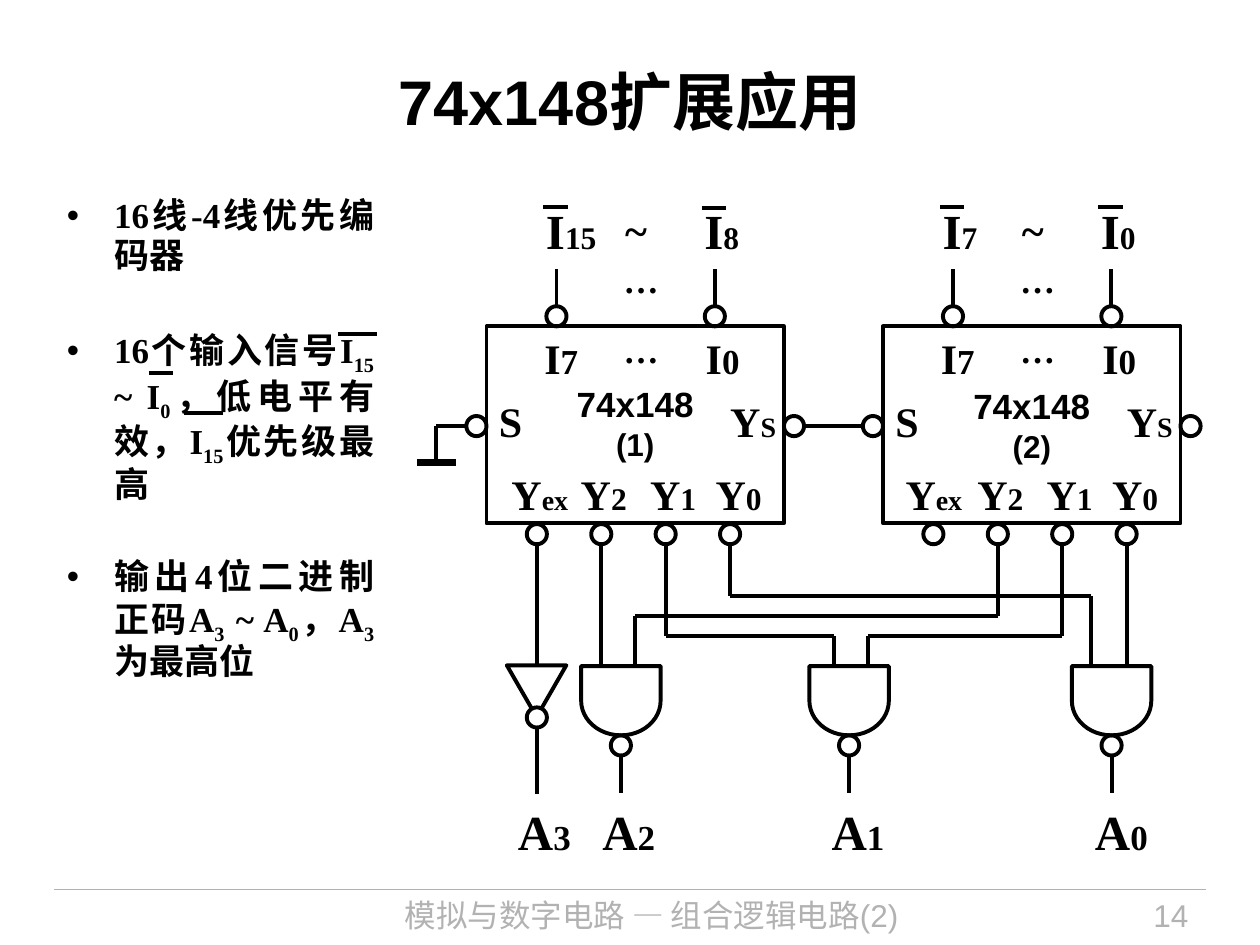
from typing import NamedTuple

from lxml import etree
from pptx import Presentation
from pptx.dml.color import RGBColor
from pptx.enum import shapes, text
from pptx.oxml import ns
from pptx.util import Pt

COLORS = {"ink": "000000", "paper": "FFFFFF", "footer": "B2B2B2"}
SERIF = "Times New Roman"
SANS = "Arial"
LABEL_INSETS = (7.2, 3.6, 0, 3.6)
NO_INSETS = (0, 0, 0, 0)
BUBBLE = 11.5
CHIP_TOP, CHIP_WIDTH, CHIP_HEIGHT = 186.5, 170, 112.5
CHIP_BOTTOM = CHIP_TOP + CHIP_HEIGHT
ENABLE_Y = 243.5
INPUT_OFFSETS = (40, 130.5)
OUTPUT_OFFSETS = [28.8 + 36.8 * i for i in range(4)]


class Run(NamedTuple):
    text: str
    size: float
    baseline: int = 0


class Label(NamedTuple):
    name: str
    index: str
    left: float
    top: float
    width: float
    height: float = 36
    size: float = 24
    index_size: float = 18


class Chip(NamedTuple):
    number: str
    left: float
    first_input: str
    last_input: str
    last_bar_top: float
    first_line_spacing: float
    yex_left: float


class Gate(NamedTuple):
    center: float
    output: str
    label_left: float


CHIPS = [
    Chip("(1)", 278, "15", "8", 118.8, 0.9, 7.2),
    Chip("(2)", 504.6, "7", "0", 118.1, 1, 5.8),
]
GATES = [Gate(354.8, "2", 344.2), Gate(485.2, "1", 475.2), Gate(635.2, "0", 625.7)]
CHIP_LABELS = [
    Label("S", "", 0, 222.5, 28),
    Label("Y", "S", 132.2, 222.5, 41, index_size=16),
    Label("Y", "2", 46.8, 264.2, 41),
    Label("Y", "1", 86.4, 264.2, 41),
    Label("Y", "0", 123.8, 264.2, 41),
    Label("I", "7", 26, 186.5, 39, index_size=20),
    Label("I", "0", 118.2, 186.5, 39, index_size=20),
    Label("…", "", 71.2, 184.3, 39.6, 31, 20),
    Label("…", "", 71.2, 144, 39.6, 31, 20),
]

presentation = Presentation()
presentation.slide_width, presentation.slide_height = Pt(720), Pt(540)
slide = presentation.slides.add_slide(presentation.slide_layouts[1])


def write_text(shape, paragraphs: list[list[Run]], *, font: str = SERIF, color: str = "ink",
               bold: bool = True, align=text.PP_ALIGN.LEFT, anchor=text.MSO_ANCHOR.TOP,
               insets=(7.2, 3.6, 7.2, 3.6), spacing=None, after: float = 0,
               indent: float = 0) -> None:
    frame = shape.text_frame
    frame.word_wrap = True
    frame.auto_size = text.MSO_AUTO_SIZE.NONE
    frame.vertical_anchor = anchor
    (frame.margin_left, frame.margin_top,
     frame.margin_right, frame.margin_bottom) = map(Pt, insets)
    for i, runs in enumerate(paragraphs):
        paragraph = frame.add_paragraph() if i else frame.paragraphs[0]
        paragraph.alignment = align
        paragraph.space_before, paragraph.space_after = Pt(0), Pt(after)
        if spacing:
            paragraph.line_spacing = spacing[i]
        if indent:
            properties = paragraph._p.get_or_add_pPr()
            properties.set("marL", str(Pt(indent)))
            properties.set("indent", str(-Pt(indent)))
        for item in runs:
            run = paragraph.add_run()
            run.text = item.text
            run.font.name, run.font.size, run.font.bold = font, Pt(item.size), bold
            run.font.color.rgb = RGBColor.from_string(COLORS[color])
            if item.baseline:
                run._r.get_or_add_rPr().set("baseline", str(item.baseline))


def place(shape, left: float, top: float, width: float, height: float) -> None:
    shape.left, shape.top, shape.width, shape.height = map(Pt, (left, top, width, height))


def add_text(left: float, top: float, width: float, height: float,
             paragraphs: list[list[Run]], **style) -> None:
    box = slide.shapes.add_textbox(Pt(left), Pt(top), Pt(width), Pt(height))
    write_text(box, paragraphs, **style)


def add_label(label: Label, origin: float = 0, **style) -> None:
    runs = [Run(label.name, label.size)]
    if label.index:
        runs.append(Run(label.index, label.index_size))
    add_text(origin + label.left, label.top, label.width, label.height, [runs],
             **{"insets": LABEL_INSETS, **style})


def add_wire(*points: tuple[float, float], color: str = "ink", weight: float = 2.25) -> None:
    for start, end in zip(points, points[1:]):
        wire = slide.shapes.add_connector(shapes.MSO_CONNECTOR.STRAIGHT, *map(Pt, start + end))
        wire.line.color.rgb = RGBColor.from_string(COLORS[color])
        wire.line.width = Pt(weight)
        etree.SubElement(wire._element.spPr, ns.qn("a:effectLst"))


def add_outline(kind, left: float, top: float, width: float, height: float,
                rotation: float = 0, fill: str = ""):
    shape = slide.shapes.add_shape(kind, Pt(left), Pt(top), Pt(width), Pt(height))
    shape.shadow.inherit = False
    shape.rotation = rotation
    if fill:
        shape.fill.solid()
        shape.fill.fore_color.rgb = RGBColor.from_string(COLORS[fill])
    else:
        shape.fill.background()
    shape.line.color.rgb = RGBColor.from_string(COLORS["ink"])
    shape.line.width = Pt(2.25)
    return shape


def add_bubble(x: float, y: float, fill: str = "") -> None:
    add_outline(shapes.MSO_SHAPE.OVAL, x - BUBBLE / 2, y - BUBBLE / 2, BUBBLE, BUBBLE, fill=fill)


def add_chip(chip: Chip) -> None:
    body = add_outline(shapes.MSO_SHAPE.RECTANGLE, chip.left, CHIP_TOP, CHIP_WIDTH, CHIP_HEIGHT)
    write_text(body, [[Run("74x148", 20)], [Run(chip.number, 18)]], font=SANS,
               align=text.PP_ALIGN.CENTER, anchor=text.MSO_ANCHOR.MIDDLE, insets=NO_INSETS,
               spacing=(chip.first_line_spacing, 1))
    for label in CHIP_LABELS:
        add_label(label, chip.left)
    add_label(Label("Y", "ex", chip.yex_left, 264.2, 47, index_size=16), chip.left)
    add_bubble(chip.left - BUBBLE / 2, ENABLE_Y)
    add_bubble(chip.left + CHIP_WIDTH + BUBBLE / 2, ENABLE_Y)
    for offset in OUTPUT_OFFSETS:
        add_bubble(chip.left + offset, CHIP_BOTTOM + BUBBLE / 2 + 0.5)
    inputs = zip(INPUT_OFFSETS, (chip.first_input, chip.last_input), (118.1, chip.last_bar_top))
    for offset, index, bar_top in inputs:
        x = chip.left + offset
        add_bubble(x, CHIP_TOP - BUBBLE / 2)
        add_wire((x, 154), (x, CHIP_TOP - BUBBLE))
        add_label(Label("I", index, x - 6, 114.5, 30, 34, 28), insets=NO_INSETS,
                  anchor=text.MSO_ANCHOR.MIDDLE)
        add_wire((x - 7.5, bar_top), (x + 6.5, bar_top))
    add_label(Label("~", "", 79.3, 116.6, 14, 29), chip.left, insets=NO_INSETS,
              anchor=text.MSO_ANCHOR.MIDDLE)


def add_output(x: float, top: float, index: str, label_left: float, bottom: float = 453) -> None:
    add_wire((x, top), (x, bottom))
    add_label(Label("A", index, label_left, 458, 32, 34, 28, 20),
              insets=NO_INSETS, anchor=text.MSO_ANCHOR.MIDDLE)


def subscripted(*parts: str) -> list[Run]:
    return [Run(part, 20, -25000 if i % 2 else 0) for i, part in enumerate(parts)]


add_wire((31, 508.3), (689, 508.3), color="footer", weight=0.75)
footer_style = {"font": SANS, "color": "footer", "bold": False}
add_text(179.3, 508.3, 386, 31.7, [[Run("模拟与数字电路 — 组合逻辑电路(2)", 18)]],
         align=text.PP_ALIGN.CENTER, **footer_style)
add_text(590.4, 508.3, 95.8, 31.7, [[Run("14", 18)]], align=text.PP_ALIGN.RIGHT, **footer_style)

title, body = slide.placeholders
place(title, 36, 12.2, 648, 90)
write_text(title, [[Run("74x148扩展应用", 36)]], font=SANS,
           align=text.PP_ALIGN.CENTER, anchor=text.MSO_ANCHOR.MIDDLE)
place(body, 31, 108.7, 190, 399.6)
write_text(body, [
    subscripted("16线-4线优先编码器"),
    subscripted("16个输入信号I", "15", " ~ I", "0", "，低电平有效，I", "15", "优先级最高"),
    subscripted("输出4位二进制正码A", "3", " ~ A", "0", "，A", "3", "为最高位"),
], align=text.PP_ALIGN.JUSTIFY, spacing=(0.95,) * 3, after=30, indent=27)
for left, y, width in ((85, 213.1, 14), (193, 190.8, 22.3), (105, 236.2, 22.3)):
    add_wire((left, y), (left + width, y))

for chip in CHIPS:
    add_chip(chip)

high, low = ([chip.left + offset for offset in OUTPUT_OFFSETS] for chip in CHIPS)
pin_y, gate_y = CHIP_BOTTOM + BUBBLE + 0.5, 380
add_wire((high[0], pin_y), (high[0], 454))
add_wire((high[1], pin_y), (high[1], gate_y))
add_wire((high[2], pin_y), (high[2], 363.6), (476.6, 363.6), (476.6, gate_y))
add_wire((high[3], pin_y), (high[3], 340.8), (623.7, 340.8), (623.7, gate_y))
add_wire((low[1], pin_y), (low[1], 352.2), (363, 352.2), (363, gate_y))
add_wire((low[2], pin_y), (low[2], 363.6), (496.1, 363.6), (496.1, gate_y))
add_wire((low[3], pin_y), (low[3], gate_y))
add_wire((CHIPS[0].left + CHIP_WIDTH + BUBBLE, ENABLE_Y), (CHIPS[1].left - BUBBLE, ENABLE_Y))
add_wire((CHIPS[0].left - BUBBLE, ENABLE_Y), (249.2, ENABLE_Y), (249.2, 264.3))
add_wire((238.3, 264.3), (260.6, 264.3), weight=4.5)

for gate in GATES:
    add_outline(shapes.MSO_SHAPE.FLOWCHART_DELAY, gate.center - 19.8, 377.7, 39.6, 45.4, 90)
    add_bubble(gate.center, 426)
    add_output(gate.center, 426 + BUBBLE / 2, gate.output, gate.label_left)
add_outline(shapes.MSO_SHAPE.ISOSCELES_TRIANGLE, high[0] - 17.2, 380.2, 34, 29.5, 180, "paper")
add_bubble(high[0], 410, "paper")
add_output(high[0], 416, "3", 296)

presentation.save("out.pptx")
